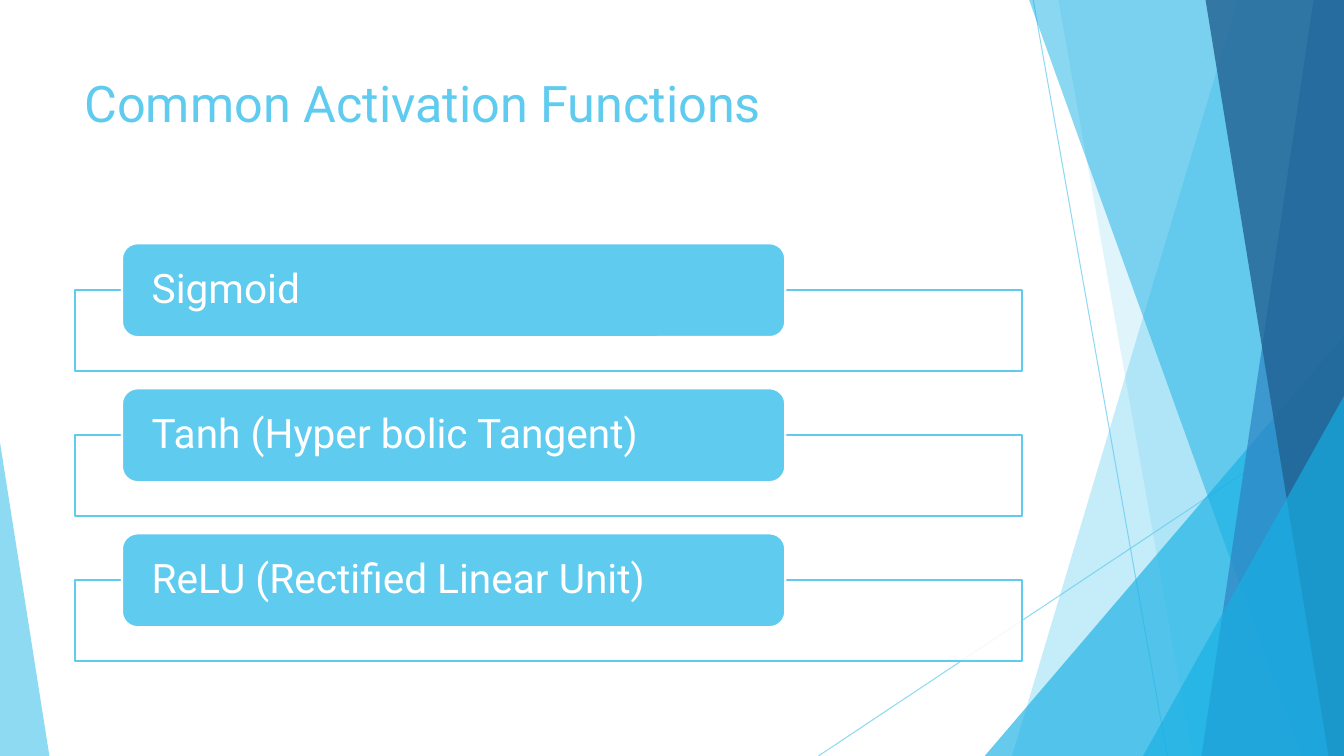
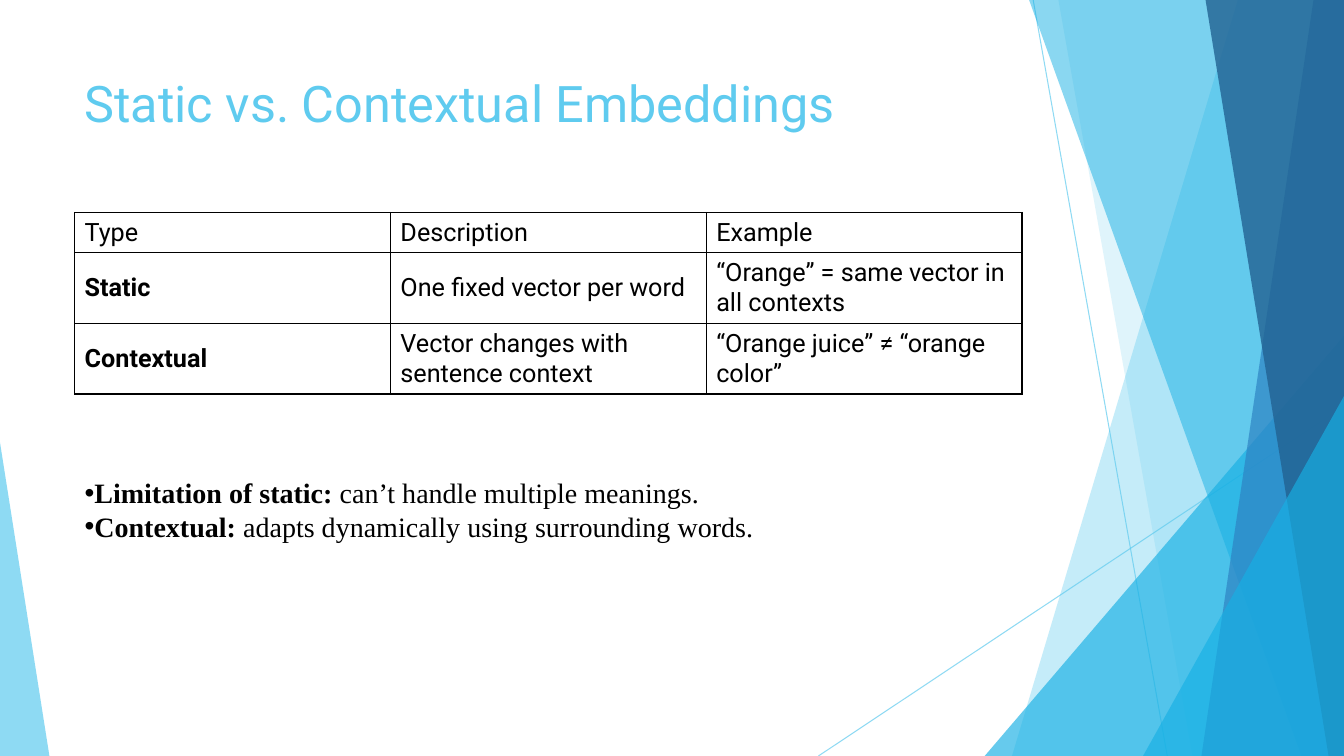
"""Build two slides on activation functions and word embeddings in a shared faceted design."""
from dataclasses import dataclass

from lxml import etree
from pptx import Presentation
from pptx.dml.color import RGBColor
from pptx.enum.shapes import MSO_CONNECTOR, MSO_SHAPE
from pptx.enum.text import MSO_ANCHOR, PP_ALIGN
from pptx.oxml.ns import qn
from pptx.util import Pt

STRAIGHT = MSO_CONNECTOR.STRAIGHT
TRIANGLE = MSO_SHAPE.ISOSCELES_TRIANGLE
RECTANGLE = MSO_SHAPE.RECTANGLE
ROUNDED = MSO_SHAPE.ROUNDED_RECTANGLE
TOP, MIDDLE = MSO_ANCHOR.TOP, MSO_ANCHOR.MIDDLE
LEFT = PP_ALIGN.LEFT


@dataclass(frozen=True)
class Theme:
    sky: str = "5FCBEF"
    cyan: str = "17B0E4"
    blue: str = "2E83C3"
    navy: str = "226292"
    white: str = "FFFFFF"
    black: str = "000000"
    sans: str = "Roboto"
    serif: str = "Times New Roman"
    title: float = 36
    function: float = 29
    note: float = 20
    table: float = 18
    hairline: float = 0.75
    outline: float = 1.5


theme = Theme()
WIDTH, HEIGHT = 960, 540
CONTENT_LEFT, CONTENT_WIDTH = 53.3, 676.8

RAYS = [(738, 0, 833.8, HEIGHT), (WIDTH, 290.2, 584.6, HEIGHT)]
FACETS = [
    ("panel", (884.2, 722.9), theme.sky, 36),
    ("panel", (756, 851.8), theme.sky, 20),
    ("triangle", (703.4, 239.8, 256.6, 1), theme.cyan, 66),
    ("panel", (735.1, 929.5), theme.cyan, 50),
    ("panel", (938.2, 858.2), theme.blue, 70),
    ("panel", (861.1, 949), theme.navy, 80),
    ("triangle", (816.5, 283, 143.5, 1), theme.cyan, 66),
    ("triangle", (0, 316.1, 35.3, 0), theme.sky, 70),
]
TITLES = ["Common Activation Functions", "Static vs. Contextual Embeddings"]
FUNCTIONS = ["Sigmoid", "Tanh (Hyper bolic Tangent)", "ReLU (Rectified Linear Unit)"]
EMBEDDINGS = [
    ["Type", "Description", "Example"],
    ["Static", "One fixed vector per word", "“Orange” = same vector in all contexts"],
    ["Contextual", "Vector changes with sentence context", "“Orange juice” ≠ “orange color”"],
]
ROW_HEIGHTS = [28.7, 49.5, 49.5]
NOTES = [
    [("Limitation of static:", True), (" can’t handle multiple meanings.", False)],
    [("Contextual:", True), (" adapts dynamically using surrounding words.", False)],
]


def write(frame, paragraphs, size, color, font=theme.sans, anchor=None, wrap=True,
          spacing=None, inset=None, bullet=None):
    """Fill a text frame with paragraphs given as lists of (text, bold) runs."""
    frame.word_wrap = wrap
    if anchor is not None:
        frame.vertical_anchor = anchor
    if inset is not None:
        frame.margin_left = frame.margin_right = Pt(inset)
        frame.margin_top = frame.margin_bottom = 0
    for index, runs in enumerate(paragraphs):
        paragraph = frame.add_paragraph() if index else frame.paragraphs[0]
        paragraph.alignment = LEFT
        paragraph.line_spacing = spacing
        if bullet:
            properties = paragraph._p.get_or_add_pPr()
            etree.SubElement(properties, qn("a:buFont"), typeface="Arial")
            etree.SubElement(properties, qn("a:buChar"), char=bullet)
        for text, bold in runs:
            run = paragraph.add_run()
            run.text = text
            run.font.name = font
            run.font.size = Pt(size)
            run.font.bold = bold
            run.font.color.rgb = RGBColor.from_string(color)


def paint(shape, color, opacity=100, outline=None):
    """Give a shape a flat fill, an opacity in percent and an optional outline."""
    shape.shadow.inherit = False
    shape.fill.solid()
    shape.fill.fore_color.rgb = RGBColor.from_string(color)
    if opacity < 100:
        fill_color = next(shape.element.spPr.iter(qn("a:srgbClr")))
        etree.SubElement(fill_color, qn("a:alpha"), val=str(opacity * 1000))
    if outline:
        shape.line.color.rgb = RGBColor.from_string(outline)
        shape.line.width = Pt(theme.outline)
    else:
        shape.line.fill.background()


deck = Presentation()
deck.slide_width, deck.slide_height = Pt(WIDTH), Pt(HEIGHT)
slides = []

for title in TITLES:
    slide = deck.slides.add_slide(deck.slide_layouts[6])
    slides.append(slide)
    for ends in RAYS:
        ray = slide.shapes.add_connector(STRAIGHT, *map(Pt, ends))
        ray.line.color.rgb = RGBColor.from_string(theme.sky)
        ray.line.width = Pt(theme.hairline)
        ray_color = next(ray.element.spPr.iter(qn("a:srgbClr")))
        etree.SubElement(ray_color, qn("a:alpha"), val="70000")
        etree.SubElement(ray.element.spPr, qn("a:effectLst"))
    for kind, geometry, color, opacity in FACETS:
        if kind == "panel":
            top_x, bottom_x = geometry
            outline = slide.shapes.build_freeform(Pt(top_x), 0)
            corners = [(WIDTH, 0), (WIDTH, HEIGHT), (bottom_x, HEIGHT)]
            outline.add_line_segments([(Pt(x), Pt(y)) for x, y in corners], close=True)
            facet = outline.convert_to_shape()
        else:
            left, top, width, apex = geometry
            facet = slide.shapes.add_shape(TRIANGLE, Pt(left), Pt(top), Pt(width), Pt(HEIGHT - top))
            facet.adjustments[0] = apex
        paint(facet, color, opacity)
    heading = slide.shapes.add_textbox(Pt(CONTENT_LEFT), Pt(48.2), Pt(CONTENT_WIDTH), Pt(103.7))
    write(heading.text_frame, [[(title, False)]], theme.title, theme.sky, anchor=TOP)

functions_slide, embeddings_slide = slides

for index, function in enumerate(FUNCTIONS):
    label_top = 173.8 + index * 103.6
    frame = functions_slide.shapes.add_shape(
        RECTANGLE, Pt(CONTENT_LEFT), Pt(label_top + 33.4), Pt(CONTENT_WIDTH), Pt(57.6))
    paint(frame, theme.white, 90, outline=theme.sky)
    label = functions_slide.shapes.add_shape(
        ROUNDED, Pt(87.1), Pt(label_top), Pt(473.8), Pt(67))
    paint(label, theme.sky, outline=theme.white)
    write(label.text_frame, [[(function, False)]], theme.function, theme.white,
          anchor=MIDDLE, spacing=0.9, inset=18)

comparison = embeddings_slide.shapes.add_table(
    len(EMBEDDINGS), len(EMBEDDINGS[0]), Pt(CONTENT_LEFT), Pt(151.7),
    Pt(CONTENT_WIDTH), Pt(sum(ROW_HEIGHTS))).table
comparison.first_row = comparison.horz_banding = False
for row_index, row in enumerate(EMBEDDINGS):
    comparison.rows[row_index].height = Pt(ROW_HEIGHTS[row_index])
    for column_index, text in enumerate(row):
        cell = comparison.cell(row_index, column_index)
        is_row_name = row_index > 0 and column_index == 0
        write(cell.text_frame, [[(text, is_row_name)]], theme.table, theme.black)
        cell.vertical_anchor = MIDDLE
        cell_properties = cell._tc.get_or_add_tcPr()
        for side in ("a:lnL", "a:lnR", "a:lnT", "a:lnB"):
            border = etree.SubElement(cell_properties, qn(side), w=str(Pt(1)))
            border_fill = etree.SubElement(border, qn("a:solidFill"))
            etree.SubElement(border_fill, qn("a:srgbClr"), val=theme.black)
        cell.fill.background()

notes = embeddings_slide.shapes.add_textbox(Pt(CONTENT_LEFT), Pt(336.2), Pt(495.4), Pt(55.4))
write(notes.text_frame, NOTES, theme.note, theme.black, font=theme.serif,
      anchor=MIDDLE, wrap=False, bullet="•")

deck.save("out.pptx")
